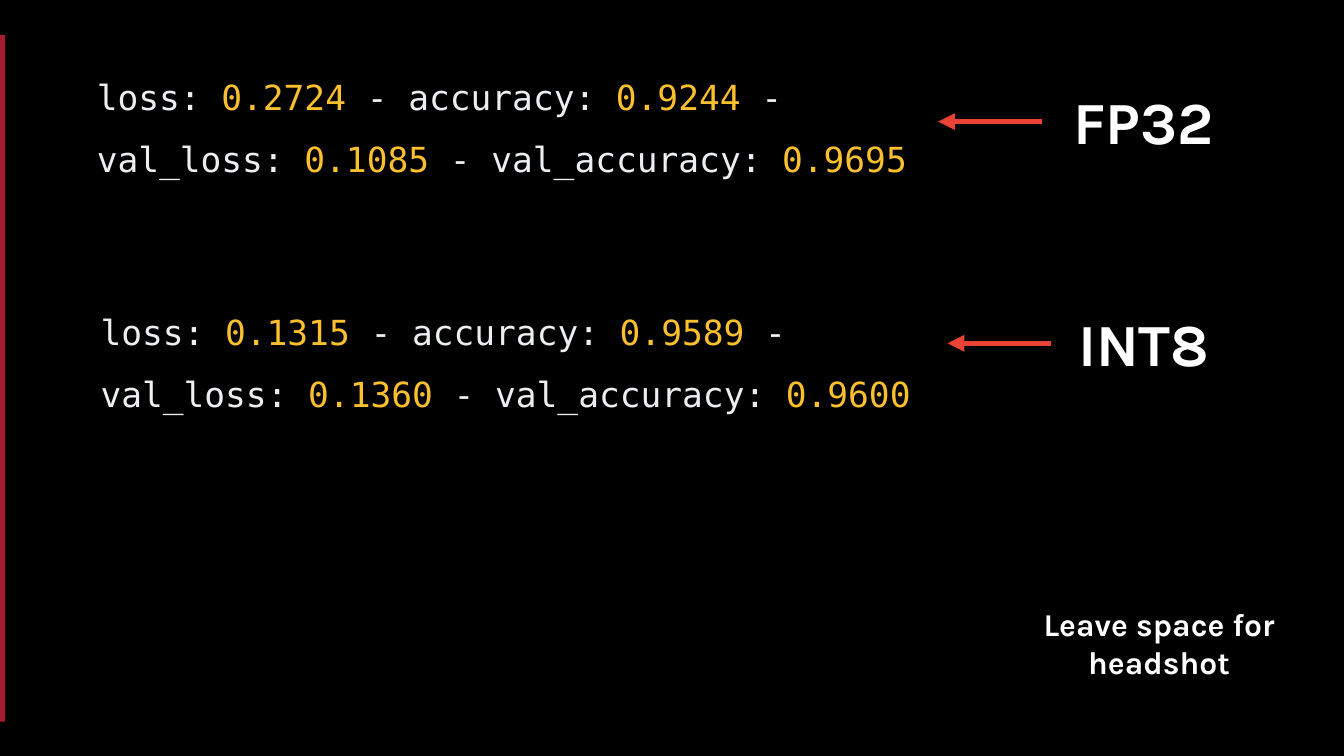
from lxml.etree import SubElement
from pptx import Presentation
from pptx.dml.color import RGBColor
from pptx.enum.shapes import MSO_CONNECTOR, MSO_SHAPE
from pptx.enum.text import MSO_ANCHOR, PP_ALIGN
from pptx.oxml.ns import qn
from pptx.util import Inches, Pt

MONO, SANS = "DejaVu Sans Mono", "Karla"
WHITE, GREY, YELLOW = "FFFFFF", "ECEFF1", "FBC02D"
RED, CRIMSON, BLACK = "EA4335", "A51C30", "000000"
WIDTH = 10
HEIGHT = WIDTH * 9 / 16
METRIC_ROWS = [("loss", "accuracy"), ("val_loss", "val_accuracy")]


def rgb(value):
    return RGBColor.from_string(value)


def inches(box):
    return [Inches(v) for v in box]


def style(r, font, size, color, bold=False):
    r.font.name, r.font.size, r.font.bold = font, Pt(size), bold
    r.font.color.rgb = rgb(color)


def set_frame(sp, left=0.1, top=0.1):
    tf = sp.text_frame
    tf.word_wrap = True
    tf.margin_left, tf.margin_top = Inches(left), Inches(top)
    tf.margin_right = tf.margin_bottom = Inches(0.1)
    return tf


def add_heading(sp, text, size):
    tf = set_frame(sp)
    tf.text = text
    p = tf.paragraphs[0]
    p.alignment = PP_ALIGN.CENTER
    style(p.runs[0], SANS, size, WHITE, True)
    return tf


def add_rect(s, box, color):
    sp = s.shapes.add_shape(MSO_SHAPE.RECTANGLE, *inches(box))
    sp.shadow.inherit = False
    sp.fill.solid()
    sp.fill.fore_color.rgb = rgb(color)
    sp.line.fill.background()
    return sp


def add_headshot_area(s, box):
    tf = add_heading(add_rect(s, box, BLACK), "Leave space for headshot", 17)
    tf.vertical_anchor = MSO_ANCHOR.MIDDLE


def add_metrics(s, box, insets, values):
    tf = set_frame(s.shapes.add_textbox(*inches(box)), *insets)
    for i, names in enumerate(METRIC_ROWS):
        p = tf.paragraphs[0] if i == 0 else tf.add_paragraph()
        p.line_spacing = 1.5
        first, second = values[2 * i:2 * i + 2]
        parts = [(f"{names[0]}: ", GREY), (first, YELLOW),
                 (f" - {names[1]}: ", GREY), (second, YELLOW)]
        if i < len(METRIC_ROWS) - 1:
            parts.append((" -", GREY))
        for text, color in parts:
            r = p.add_run()
            r.text = text
            style(r, MONO, 18.5, color)


def add_label(s, box, text):
    sp = s.shapes.add_textbox(*inches(box))
    add_heading(sp, text, 32)
    return sp


def add_arrow(s, x, y, length, label):
    line = s.shapes.add_connector(
        MSO_CONNECTOR.STRAIGHT, *inches((x, y, x - length, y)))
    line.line.color.rgb = rgb(RED)
    line.line.width = Pt(3)
    ln = line.line._get_or_add_ln()
    SubElement(ln, qn("a:tailEnd"), type="triangle")
    SubElement(line._element.spPr, qn("a:effectLst"))
    if Inches(x) == label.left:
        line.begin_connect(label, 1)


def add_result(s, box, insets, label_top, arrow_x, name, values):
    add_metrics(s, box, insets, values)
    label = add_label(s, (7.75, label_top, 1.52, 0.75), name)
    add_arrow(s, arrow_x, label_top + 0.75 / 2, 0.77, label)


def main():
    prs = Presentation()
    prs.slide_width, prs.slide_height = Inches(WIDTH), Inches(HEIGHT)
    s = prs.slides.add_slide(prs.slide_layouts[6])
    s.background.fill.solid()
    s.background.fill.fore_color.rgb = rgb(BLACK)
    add_rect(s, (-0.02, 0.26, 0.06, 5.11), CRIMSON)
    add_headshot_area(s, (7.25, 0.7 * HEIGHT, 2.75, 0.3 * HEIGHT))
    add_result(s, (0, 0, 9.35, 1.98), (0.72, 0.41), 0.53, 7.75, "FP32",
               ("0.2724", "0.9244", "0.1085", "0.9695"))
    add_result(s, (0.65, 2.06, 7.17, 0.98), (0.1, 0.1), 2.18, 7.82, "INT8",
               ("0.1315", "0.9589", "0.1360", "0.9600"))
    prs.save("out.pptx")


if __name__ == "__main__":
    main()
